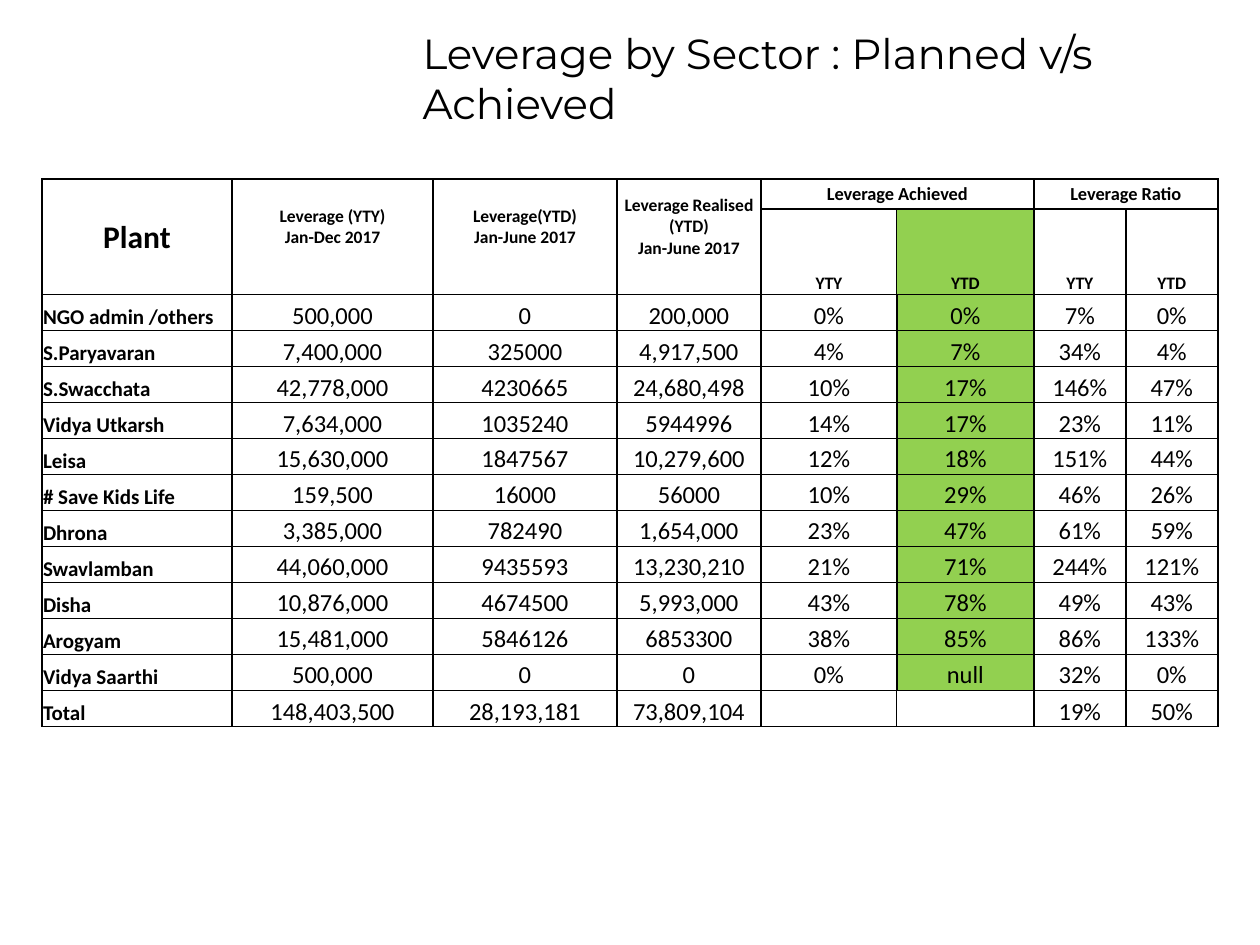
from lxml import etree
from pptx import Presentation
from pptx.dml.color import RGBColor
from pptx.enum.text import MSO_ANCHOR, MSO_AUTO_SIZE, PP_ALIGN
from pptx.oxml.ns import qn
from pptx.util import Inches, Pt

LEFT, CENTER = PP_ALIGN.LEFT, PP_ALIGN.CENTER
TOP, MIDDLE, BOTTOM = MSO_ANCHOR.TOP, MSO_ANCHOR.MIDDLE, MSO_ANCHOR.BOTTOM
NO_FIT = MSO_AUTO_SIZE.NONE
BLACK = RGBColor(0x00, 0x00, 0x00)
GREEN = RGBColor(0x92, 0xD0, 0x50)

# Content
TITLE = "Leverage by Sector : Planned v/s Achieved"
# column, text (\v breaks the line), rows and columns spanned, size, room below
HEADS = [
    (0, "Plant", 2, 1, 18, 0),
    (1, "Leverage (YTY)\vJan-Dec 2017", 2, 1, 10, 21),
    (2, "Leverage(YTD)\vJan-June 2017", 2, 1, 10, 21),
    (3, "Leverage Realised (YTD)\vJan-June 2017", 2, 1, 10, 21),
    (4, "Leverage Achieved", 1, 2, 10.5, 0),
    (6, "Leverage Ratio", 1, 2, 10.5, 0),
]
SUBHEADS = {4: "YTY", 5: "YTD", 6: "YTY", 7: "YTD"}
PLANTS = [
    ("NGO admin /others", "500,000", "0", "200,000", "0%", "0%", "7%", "0%"),
    ("S.Paryavaran", "7,400,000", "325000", "4,917,500", "4%", "7%", "34%", "4%"),
    ("S.Swacchata", "42,778,000", "4230665", "24,680,498", "10%", "17%", "146%", "47%"),
    ("Vidya Utkarsh", "7,634,000", "1035240", "5944996", "14%", "17%", "23%", "11%"),
    ("Leisa", "15,630,000", "1847567", "10,279,600", "12%", "18%", "151%", "44%"),
    ("# Save Kids Life", "159,500", "16000", "56000", "10%", "29%", "46%", "26%"),
    ("Dhrona", "3,385,000", "782490", "1,654,000", "23%", "47%", "61%", "59%"),
    ("Swavlamban", "44,060,000", "9435593", "13,230,210", "21%", "71%", "244%", "121%"),
    ("Disha", "10,876,000", "4674500", "5,993,000", "43%", "78%", "49%", "43%"),
    ("Arogyam", "15,481,000", "5846126", "6853300", "38%", "85%", "86%", "133%"),
    ("Vidya Saarthi", "500,000", "0", "0", "0%", "null", "32%", "0%"),
    ("Total", "148,403,500", "28,193,181", "73,809,104", "", "", "19%", "50%"),
]
WIDTHS = [190, 201, 184, 144, 136, 137, 92, 92]
HEIGHTS = [30, 72] + [36] * len(PLANTS)
LAST = len(HEIGHTS) - 1
MARKED = 5  # the green column
THICK, THIN = 1, 0.5


def px(n):
    return round(n * Inches(1) / 126)


def write(frame, text, font="Calibri", size=14, bold=False, align=CENTER):
    para = frame.paragraphs[0]
    para.alignment = align
    for i, line in enumerate(text.split("\v")):
        if i:
            para.add_line_break()
        run = para.add_run()
        run.text = line
        run.font.name, run.font.size, run.font.bold = font, Pt(size), bold
        run.font.color.rgb = BLACK


def fill_cell(cell, text, anchor=BOTTOM, below=0, **form):
    cell.margin_left = cell.margin_right = cell.margin_top = px(1)
    cell.margin_bottom = px(below)
    cell.vertical_anchor = anchor
    write(cell.text_frame, text, **form)


def rule_h(edge):
    """Width of the line above row `edge`."""
    return THIN if 2 < edge < LAST else THICK


def rule_v(row, edge):
    """Width of the line left of column `edge`."""
    return THIN if edge == MARKED and row in (1, LAST) else THICK


def draw_edges(cell, row, col):
    props = cell._tc.get_or_add_tcPr()
    edges = {
        "a:lnL": rule_v(row, col),
        "a:lnR": rule_v(row, col + cell.span_width),
        "a:lnT": rule_h(row),
        "a:lnB": rule_h(row + cell.span_height),
    }
    for i, (tag, width) in enumerate(edges.items()):
        line = etree.Element(qn(tag), w=str(Pt(width)))
        solid = etree.SubElement(line, qn("a:solidFill"))
        etree.SubElement(solid, qn("a:srgbClr"), val=str(BLACK))
        props.insert(i, line)


deck = Presentation()
deck.slide_width, deck.slide_height = px(1260), px(945)
slide = deck.slides.add_slide(deck.slide_layouts[5])

# Title
title = slide.shapes.title
title.left, title.top, title.width, title.height = map(px, (410, 21, 850, 115))
frame = title.text_frame
frame.word_wrap, frame.auto_size, frame.vertical_anchor = True, NO_FIT, TOP
write(frame, TITLE, font="Montserrat", size=24, align=LEFT)

# Table grid
table = slide.shapes.add_table(
    len(HEIGHTS), len(WIDTHS), px(42), px(179),
    px(sum(WIDTHS)), px(sum(HEIGHTS))).table
table.first_row = table.horz_banding = False
for column, width in zip(table.columns, WIDTHS):
    column.width = px(width)
for line, height in zip(table.rows, HEIGHTS):
    line.height = px(height)

# Header rows
for col, text, down, across, size, below in HEADS:
    cell = table.cell(0, col)
    cell.merge(table.cell(down - 1, col + across - 1))
    fill_cell(cell, text, anchor=MIDDLE, below=below, size=size, bold=True)
for col, text in SUBHEADS.items():
    fill_cell(table.cell(1, col), text, size=10, bold=True)

# Plant rows
for row, plant in enumerate(PLANTS, 2):
    for col, text in enumerate(plant):
        form = {} if col else {"size": 12, "bold": True, "align": LEFT}
        fill_cell(table.cell(row, col), text, **form)

# Fills and borders
for row in range(len(HEIGHTS)):
    for col in range(len(WIDTHS)):
        cell = table.cell(row, col)
        if col == MARKED and 0 < row < LAST:
            cell.fill.solid()
            cell.fill.fore_color.rgb = GREEN
        else:
            cell.fill.background()
        if not cell.is_spanned:
            draw_edges(cell, row, col)

deck.save("out.pptx")
